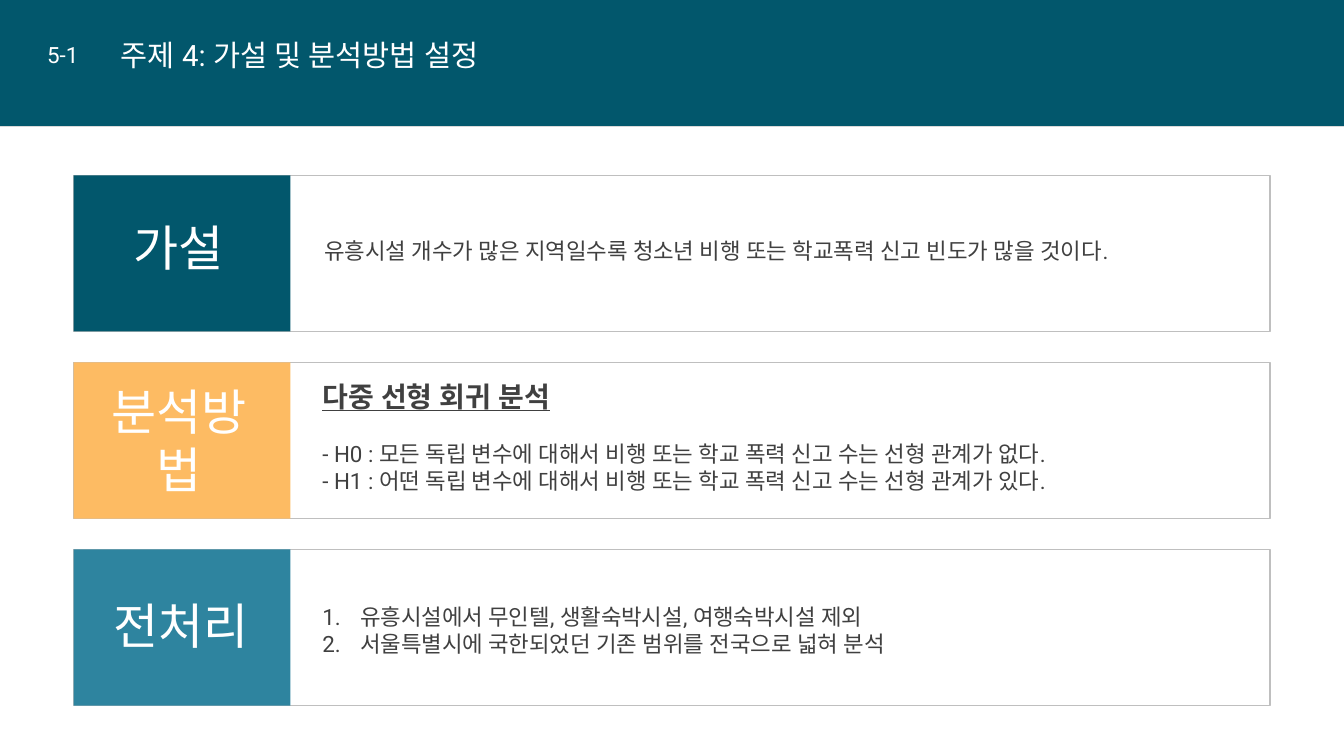
"""Builds the slide on the hypothesis and the analysis method of topic 4."""
from lxml import etree
from pptx import Presentation
from pptx.dml import color
from pptx.enum import shapes, text
from pptx.oxml import ns
from pptx.util import Pt

FONT = "Roboto"
TEAL, WHITE, INK = "02576C", "FFFFFF", "404040"
CARD_LEFT, CARD_TOP, CARD_STEP = 52.6, 125.2, 133.6
CARD_WIDTH, CARD_HEIGHT, LABEL_WIDTH = 854.6, 111.6, 154.8
LABELS = [
    ("가설", TEAL, (69, 152, 117.5, 49.7)),
    ("분석방법", "FDBB63", (71.3, 268.6, 113, 92.2)),
    ("전처리", "2E849F", (69, 422, 121, 49.7)),
]
HYPOTHESIS = "유흥시설 개수가 많은 지역일수록 청소년 비행 또는 학교폭력 신고 빈도가 많을 것이다."
METHOD = "다중 선형 회귀 분석"
TESTS = [
    "- H0 : 모든 독립 변수에 대해서 비행 또는 학교 폭력 신고 수는 선형 관계가 없다.",
    "- H1 : 어떤 독립 변수에 대해서 비행 또는 학교 폭력 신고 수는 선형 관계가 있다.",
]
STEPS = [
    "유흥시설에서 무인텔, 생활숙박시설, 여행숙박시설 제외",
    "서울특별시에 국한되었던 기존 범위를 전국으로 넓혀 분석",
]


def rgb(value):
    """Return the colour for a hex string."""
    return color.RGBColor.from_string(value)


def add_block(page, left, top, width, height, fill, line=None):
    """Add a flat rectangle, outlined if a line colour is given."""
    block = page.shapes.add_shape(
        shapes.MSO_SHAPE.RECTANGLE, Pt(left), Pt(top), Pt(width), Pt(height))
    block.shadow.inherit = False
    block.fill.solid()
    block.fill.fore_color.rgb = rgb(fill)
    if line:
        block.line.color.rgb = rgb(line)
        block.line.width = Pt(1)
    else:
        block.line.fill.background()


def add_rule(page, top, width, line):
    """Add a thin horizontal line from the left edge."""
    rule = page.shapes.add_connector(
        shapes.MSO_CONNECTOR.STRAIGHT, Pt(0), Pt(top), Pt(width), Pt(top))
    rule.line.color.rgb = rgb(line)
    rule.line.width = Pt(0.5)
    etree.SubElement(rule._element.spPr, ns.qn("a:effectLst"))


def add_box(page, left, top, width, height):
    """Add a wrapping text box and return its frame."""
    box = page.shapes.add_textbox(Pt(left), Pt(top), Pt(width), Pt(height))
    box.text_frame.word_wrap = True
    return box.text_frame


def add_para(frame, words, size, ink, align=text.PP_ALIGN.LEFT, strong=False):
    """Write one paragraph, using the empty first one if it is free."""
    first = frame.paragraphs[0]
    para = frame.add_paragraph() if first.runs else first
    para.alignment = align
    span = para.add_run()
    span.text = words
    span.font.size = Pt(size)
    span.font.name = FONT
    span.font.color.rgb = rgb(ink)
    span.font.bold = span.font.underline = strong
    etree.SubElement(span.font._element, ns.qn("a:ea"), typeface=FONT)
    return para


def number(para, indent):
    """Give a paragraph an automatic number with a hanging indent."""
    props = para._p.get_or_add_pPr()
    props.set("marL", str(Pt(indent)))
    props.set("indent", str(-Pt(indent)))
    etree.SubElement(props, ns.qn("a:buAutoNum"), type="arabicPeriod")


def add_header(page):
    """Add the title band with its section number."""
    add_block(page, 0, 0, 960, 90, TEAL)
    add_rule(page, 90, 960, "D9D9D9")
    add_para(add_box(page, 79.2, 23, 292.3, 32.4), "주제 4: 가설 및 분석방법 설정", 21, WHITE)
    add_para(add_box(page, 26.6, 26, 44, 26.6), "5-1", 16, WHITE)


def add_cards(page):
    """Add the three outlined cards with their coloured labels."""
    for row, (label, fill, place) in enumerate(LABELS):
        top = CARD_TOP + row * CARD_STEP
        add_block(page, CARD_LEFT, top, CARD_WIDTH, CARD_HEIGHT, WHITE, "BFBFBF")
        add_block(page, CARD_LEFT, top, LABEL_WIDTH, CARD_HEIGHT, fill)
        add_para(add_box(page, *place), label, 35, WHITE, text.PP_ALIGN.CENTER)


def add_contents(page):
    """Write the text of the three cards."""
    justify = text.PP_ALIGN.JUSTIFY
    hypothesis = add_box(page, 224.6, 156.2, 651, 33)
    add_para(hypothesis, HYPOTHESIS, 16, INK).line_spacing = 1.5

    method = add_box(page, 223.2, 267.8, 651, 128)
    add_para(method, METHOD, 20, INK, justify, strong=True).space_after = Pt(19)
    for test in TESTS:
        add_para(method, test, 16, INK, justify)

    steps = add_box(page, 223.2, 427, 651, 46)
    for step in STEPS:
        number(add_para(steps, step, 16, INK, justify), 27)


def main():
    """Build the deck and save it."""
    deck = Presentation()
    deck.slide_width, deck.slide_height = Pt(960), Pt(540)
    page = deck.slides.add_slide(deck.slide_layouts[6])
    add_header(page)
    add_cards(page)
    add_contents(page)
    deck.save("out.pptx")


if __name__ == "__main__":
    main()
